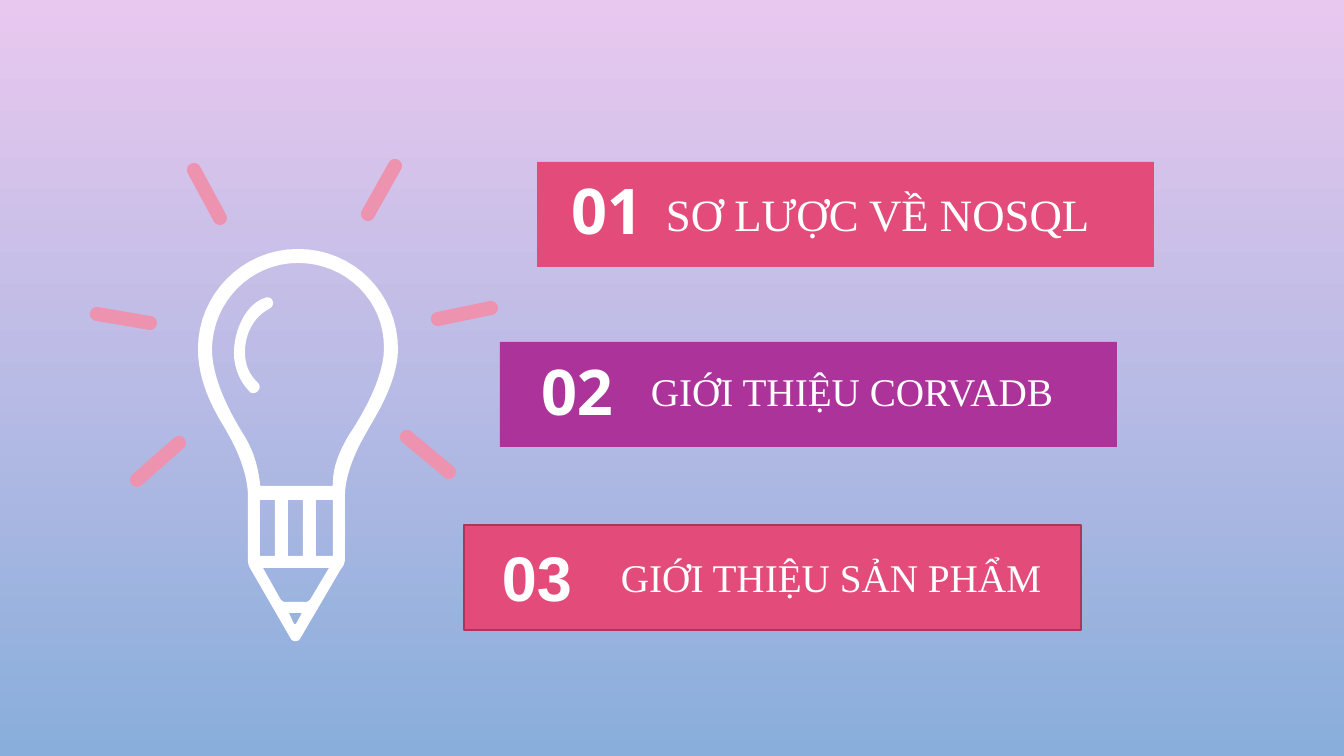
"""Build the agenda slide: a pencil light bulb beside three numbered bars."""
from math import atan2, cos, pi, sin

from pptx import Presentation
from pptx.dml.color import RGBColor
from pptx.enum.shapes import MSO_SHAPE
from pptx.enum.text import MSO_AUTO_SIZE, PP_ALIGN
from pptx.util import Pt

PX = 914400 / 100.8
RECTANGLE, PROCESS = MSO_SHAPE.RECTANGLE, MSO_SHAPE.FLOWCHART_PROCESS
LEFT, CENTER, JUSTIFY = PP_ALIGN.LEFT, PP_ALIGN.CENTER, PP_ALIGN.JUSTIFY
GROW = MSO_AUTO_SIZE.SHAPE_TO_FIT_TEXT
WHITE, RAY_PINK, ROSE, PURPLE, ROSE_EDGE = "FFFFFF", "EE93AF", "E34B7A", "AC339A", "A8375A"
SKY = ("E9C8EF", "89AEDB")
SERIF = "Times New Roman"

BAR_SIZE = (617, 105)
# Each bar: place, shape, fill, edge; number and title: text, box, size, font, alignment
BARS = [
    ((537, 162), RECTANGLE, ROSE, None,
     ("01", (542, 167, 130, 87), 45, "Open Sans", CENTER),
     ("SƠ LƯỢC VỀ NOSQL", (656, 182, 487, 65), 32, SERIF, LEFT)),
    ((500, 342), RECTANGLE, PURPLE, None,
     ("02", (512, 348, 130, 87), 45, "Open Sans", CENTER),
     ("GIỚI THIỆU CORVADB", (641, 362, 444, 57), 28, SERIF, JUSTIFY)),
    ((464, 525), PROCESS, ROSE, ROSE_EDGE,
     ("03", (492, 534, 129, 87), 45, "Arial", LEFT),
     ("GIỚI THIỆU SẢN PHẨM", (611, 548, 445, 57), 28, SERIF, LEFT)),
]

RAY_RADIUS = 7
RAYS = [
    (137, 480, 179, 443), (395, 166, 368, 214), (194, 170, 220, 218),
    (407, 437, 449, 472), (438, 319, 491, 308), (97, 314, 150, 323),
]

GLINT = [
    (234, 353), (234, 330, 246, 304, 265, 298), (269, 296, 273, 299, 273, 303),
    (273, 306, 271, 308, 269, 309), (252, 318, 245, 336, 245, 352),
    (245, 366, 250, 375, 258, 383), (262, 387, 258, 393, 254, 393),
    (252, 393, 251, 393, 250, 392), (240, 382, 234, 368, 234, 353),
]
BULB_OUTSIDE = [
    (298, 249), (243, 249, 198, 294, 198, 349), (198, 391, 224, 425, 227, 432),
    (237, 449, 247, 472, 248, 494), (248, 560), (248, 564, 249, 566, 250, 568),
    (291, 639), (293, 642, 298, 642, 300, 639), (341, 569),
    (344, 566, 345, 562, 345, 558), (345, 496),
    (345, 474, 357, 448, 368, 430), (371, 423, 398, 385, 398, 349),
    (398, 294, 354, 249, 298, 249),
]
BULB_INSIDE = [
    (349, 435), (339, 452, 333, 467, 333, 483), (333, 486, 333, 486, 330, 486),
    (263, 486), (260, 486, 260, 486, 260, 483), (258, 467, 254, 452, 245, 437),
    (245, 436, 212, 389, 212, 349), (213, 301, 251, 263, 298, 263),
    (346, 263, 385, 301, 384, 349), (384, 385, 349, 435, 349, 435),
]
PENCIL_CONE = [(263, 568), (329, 568), (310, 600), (307, 602), (284, 602), (281, 600)]
PENCIL_LEAD = [(289, 613), (302, 613), (296, 624), (294, 624)]
SLOTS = [(260, 275), (288, 303), (316, 333)]
SLOT_TOP, SLOT_BOTTOM = 500, 556
CURVE_STEPS = 16


def emu(*lengths):
    return [round(length * PX) for length in lengths]


def color(hex_string):
    return RGBColor.from_string(hex_string)


def flatten(nodes):
    """Turn corners (x, y) and cubic curves (six numbers) into points."""
    points = [nodes[0]]
    for node in nodes[1:]:
        if len(node) == 2:
            points.append(node)
            continue
        controls = [points[-1], node[:2], node[2:4], node[4:]]
        for step in range(1, CURVE_STEPS + 1):
            t = step / CURVE_STEPS
            weights = ((1 - t) ** 3, 3 * t * (1 - t) ** 2, 3 * t * t * (1 - t), t ** 3)
            points.append(tuple(sum(w * c[axis] for w, c in zip(weights, controls))
                                for axis in (0, 1)))
    return points


def capsule(x1, y1, x2, y2):
    """Outline a bar with round ends between two centres."""
    heading = atan2(y2 - y1, x2 - x1)
    points = []
    for x, y, start in ((x1, y1, heading + pi / 2), (x2, y2, heading - pi / 2)):
        for step in range(CURVE_STEPS + 1):
            angle = start + pi * step / CURVE_STEPS
            points.append((x + RAY_RADIUS * cos(angle), y + RAY_RADIUS * sin(angle)))
    return points


def paint(shape, fill, edge=None):
    shape.shadow.inherit = False
    shape.fill.solid()
    shape.fill.fore_color.rgb = color(fill)
    if edge:
        shape.line.color.rgb = color(edge)
        shape.line.width = Pt(1.25)
    else:
        shape.line.fill.background()


def add_outline(page, contours, fill):
    builder = None
    for contour in contours:
        first, *rest = [emu(*point) for point in contour]
        if builder is None:
            builder = page.shapes.build_freeform(*first)
        else:
            builder.move_to(*first)
        builder.add_line_segments(rest, close=True)
    paint(builder.convert_to_shape(), fill)


def add_label(page, text, place, size, font, align, bold):
    box = page.shapes.add_textbox(*emu(*place))
    box.text_frame.word_wrap = True
    box.text_frame.auto_size = GROW
    para = box.text_frame.paragraphs[0]
    para.text = text
    para.alignment = align
    para.font.name = font
    para.font.size = Pt(size)
    para.font.bold = bold
    para.font.color.rgb = color(WHITE)


def main():
    deck = Presentation()
    deck.slide_width, deck.slide_height = emu(1344, 756)
    page = deck.slides.add_slide(deck.slide_layouts[6])
    backdrop = page.background.fill
    backdrop.gradient()
    backdrop.gradient_angle = 270
    for stop, shade in zip(backdrop.gradient_stops, SKY):
        stop.color.rgb = color(shade)

    for ray in RAYS:
        add_outline(page, [capsule(*ray)], RAY_PINK)
    add_outline(page, [flatten(GLINT)], WHITE)
    slots = [[(left, SLOT_TOP), (right, SLOT_TOP), (right, SLOT_BOTTOM), (left, SLOT_BOTTOM)]
             for left, right in SLOTS]
    bulb = [flatten(BULB_OUTSIDE), flatten(BULB_INSIDE), PENCIL_CONE, PENCIL_LEAD]
    add_outline(page, bulb + slots, WHITE)

    for place, kind, fill, edge, number, title in BARS:
        paint(page.shapes.add_shape(kind, *emu(*place, *BAR_SIZE)), fill, edge)
        add_label(page, *number, bold=True)
        add_label(page, *title, bold=False)
    deck.save("out.pptx")


if __name__ == "__main__":
    main()
